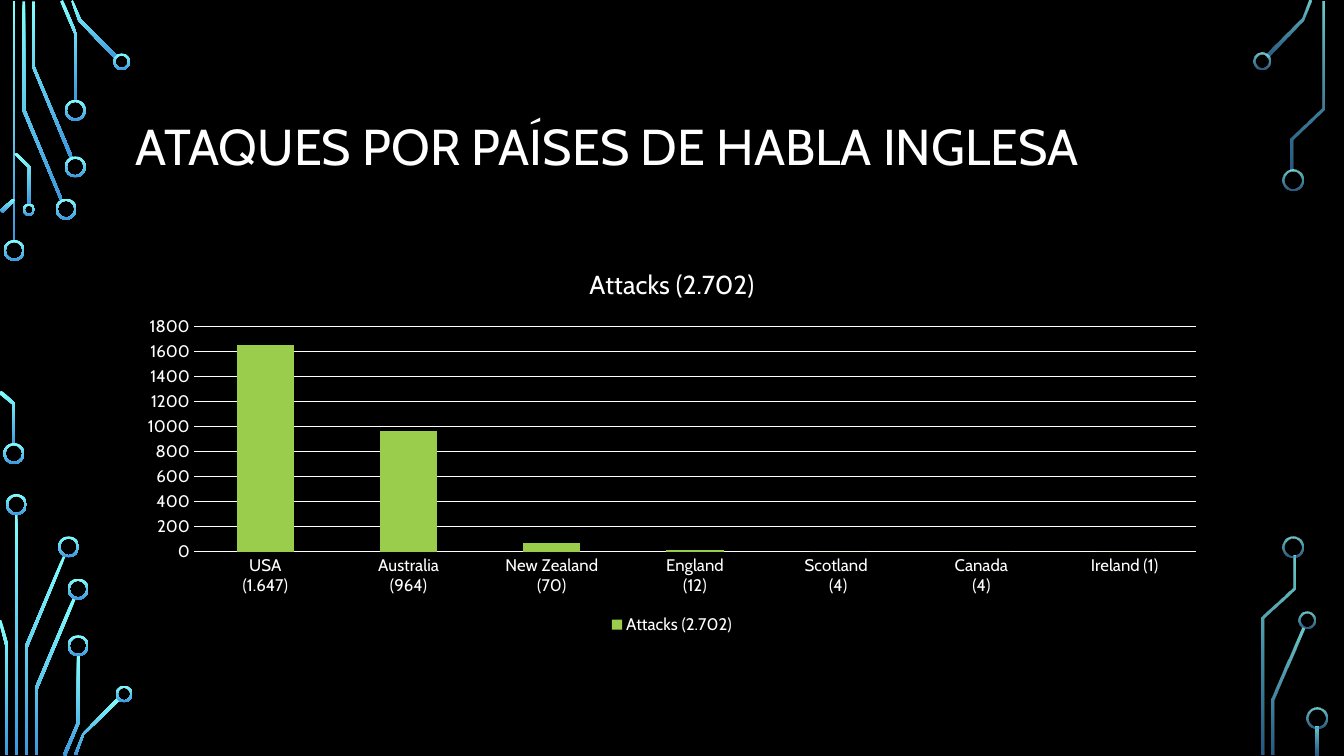
import math
from typing import NamedTuple

from lxml import etree
from pptx import Presentation
from pptx.chart.data import CategoryChartData
from pptx.dml.color import RGBColor
from pptx.enum.chart import XL_CHART_TYPE, XL_LEGEND_POSITION, XL_TICK_MARK
from pptx.enum.shapes import MSO_SHAPE
from pptx.enum.text import MSO_ANCHOR
from pptx.oxml.ns import qn
from pptx.util import Pt

BLACK = RGBColor(0x00, 0x00, 0x00)
WHITE = RGBColor(0xFF, 0xFF, 0xFF)
GREEN = RGBColor(0x9A, 0xCD, 0x4C)
CYAN = RGBColor(0x82, 0xFF, 0xFF)
BLUE = RGBColor(0x3D, 0x97, 0xDE)
FONT = "Cabin"

STACKED = XL_CHART_TYPE.COLUMN_STACKED
BOTTOM = XL_LEGEND_POSITION.BOTTOM
NO_TICK = XL_TICK_MARK.NONE
DONUT, RECT = MSO_SHAPE.DONUT, MSO_SHAPE.RECTANGLE
MIDDLE = MSO_ANCHOR.MIDDLE

TRACE_WIDTH = 2
RING_WIDTH = 1.5
OPAQUE = (100, 100)
FADED = (80, 60)
Point = tuple[float, float]


class Ring(NamedTuple):
    x: float
    y: float
    size: float = 15


class Stem(NamedTuple):
    x: float
    top: float
    height: float


class Circuit(NamedTuple):
    """Traces are centre lines; rings are given by their centres."""
    alphas: tuple[int, int]
    stems: list[Stem]
    traces: list[list[Point]]
    rings: list[Ring]


LEFT_CIRCUIT = Circuit(
    OPAQUE,
    [Stem(10, 0.7, 172), Stem(11.7, 367.2, 172)],
    [
        [(43.9, 142.9), (16.6, 78.5), (16.6, 0.7)],
        [(51.1, 112.7), (23.6, 47.9), (23.6, 0.7)],
        [(53.6, 72), (53.6, 23.8), (43.9, 0.4)],
        [(83.2, 41), (57.2, 14.8), (51.5, 0.4)],
        [(1.1, 151.2), (10.1, 142.6)],
        [(10.1, 317.5), (10.1, 288.7), (0, 280.1)],
        [(20.7, 146.2), (20.7, 119.2), (10.8, 109.4)],
        [(18.6, 538.6), (18.6, 461.5), (45.7, 397.1)],
        [(4.7, 538.6), (4.7, 461.5), (0, 443.2)],
        [(25.6, 539.3), (25.6, 491.4), (52.9, 427.3)],
        [(45.7, 539.6), (55.8, 516.2), (55.8, 468)],
        [(53.6, 538.9), (59.4, 524.9), (85, 499)],
    ],
    [
        Ring(10.1, 178.9), Ring(9.9, 324), Ring(47.2, 149.4), Ring(53.8, 119.2),
        Ring(53.8, 78.8), Ring(86.9, 44.1, 12), Ring(20.7, 149.8, 8.8),
        Ring(11.7, 360.4), Ring(49, 390.6), Ring(55.8, 420.8),
        Ring(55.8, 461.2), Ring(88.7, 495.7, 12),
    ],
)
RIGHT_CIRCUIT = Circuit(
    FADED,
    [Stem(941, 519.1, 20.2)],
    [
        [(905, 40), (930.6, 14), (936.4, 0.4)],
        [(909, 539.3), (909, 499.3), (931, 448.9)],
        [(923, 121.7), (923, 99.7), (945, 77.4), (945, 0.7)],
        [(901.8, 539.3), (901.8, 441.7), (924.1, 420.1), (924.1, 397.4)],
    ],
    [
        Ring(901.3, 43.6, 12), Ring(923.4, 128.7), Ring(933.3, 443.2, 12),
        Ring(923.9, 390.6), Ring(940.9, 512.8),
    ],
)
ATTACKS = {
    "USA\n(1.647)": 1650,
    "Australia\n(964)": 960,
    "New Zealand\n(70)": 70,
    "England\n(12)": 10,
    "Scotland \n(4)": 0,
    "Canada\n(4)": 0,
    "Ireland (1)": 0,
}
SERIES_NAME = "Attacks (2.702)"


def format_font(font, size: float) -> None:
    font.name, font.size, font.bold = FONT, Pt(size), False
    font.color.rgb = WHITE


def write(tf, text: str, *, size: float, spacing: float = 1.0) -> None:
    p = tf.paragraphs[0]
    p.line_spacing = spacing
    r = p.add_run()
    r.text = text
    format_font(r.font, size)


def paint(sp, alphas: tuple[int, int]) -> None:
    """Fill with the cyan-to-blue gradient, running downwards."""
    sp.shadow.inherit = False
    sp.line.fill.background()
    sp.fill.gradient()
    sp.fill.gradient_angle = 270
    for stop, color in zip(sp.fill.gradient_stops, (CYAN, BLUE)):
        stop.color.rgb = color
    for color, alpha in zip(sp.element.spPr.iter(qn("a:srgbClr")), alphas):
        if alpha < 100:
            etree.SubElement(color, qn("a:alpha")).set("val", str(alpha * 1000))


def outline(line: list[Point]) -> list[Point]:
    """Widen a centre line to a closed band with mitred corners."""
    normals = []
    for (x1, y1), (x2, y2) in zip(line, line[1:]):
        length = math.hypot(x2 - x1, y2 - y1)
        normals.append(((y1 - y2) / length, (x2 - x1) / length))
    one_side, other_side = [], []
    for (x, y), a, b in zip(line, normals[:1] + normals, normals + normals[-1:]):
        reach = TRACE_WIDTH / 2 / (1 + a[0] * b[0] + a[1] * b[1])
        dx, dy = (a[0] + b[0]) * reach, (a[1] + b[1]) * reach
        one_side.append((x + dx, y + dy))
        other_side.append((x - dx, y - dy))
    return one_side + other_side[::-1]


def add_circuit(s, circuit: Circuit) -> None:
    for stem in circuit.stems:
        sp = s.shapes.add_shape(RECT, Pt(stem.x - TRACE_WIDTH / 2), Pt(stem.top),
                                Pt(TRACE_WIDTH), Pt(stem.height))
        paint(sp, circuit.alphas)
    for trace in circuit.traces:
        first, *rest = outline(trace)
        builder = s.shapes.build_freeform(*first, scale=Pt(1))
        builder.add_line_segments(rest, close=True)
        paint(builder.convert_to_shape(), circuit.alphas)
    for ring in circuit.rings:
        sp = s.shapes.add_shape(DONUT, Pt(ring.x - ring.size / 2),
                                Pt(ring.y - ring.size / 2), Pt(ring.size), Pt(ring.size))
        sp.adjustments[0] = RING_WIDTH / ring.size
        paint(sp, circuit.alphas)


def add_title(s) -> None:
    tf = s.shapes.add_textbox(Pt(90), Pt(48.4), Pt(780), Pt(116.6)).text_frame
    tf.word_wrap = True
    tf.vertical_anchor = MIDDLE
    write(tf, "ATAQUES POR PAÍSES DE HABLA INGLESA", size=36, spacing=0.9)


def add_attacks_chart(s) -> None:
    data = CategoryChartData()
    data.categories = list(ATTACKS)
    data.add_series(SERIES_NAME, list(ATTACKS.values()))
    chart = s.shapes.add_chart(STACKED, Pt(90), Pt(177.4), Pt(780), Pt(278.8), data).chart
    format_font(chart.font, 10)
    write(chart.chart_title.text_frame, SERIES_NAME, size=18.6)
    chart.chart_title.include_in_layout = False

    chart.has_legend = True
    chart.legend.position = BOTTOM
    chart.legend.include_in_layout = False
    format_font(chart.legend.font, 12)

    plot = chart.plots[0]
    plot.gap_width, plot.overlap, plot.vary_by_categories = 150, 100, False
    fill = plot.series[0].format.fill
    fill.solid()
    fill.fore_color.rgb = GREEN

    counts, countries = chart.value_axis, chart.category_axis
    for axis in (counts, countries):
        axis.major_tick_mark = axis.minor_tick_mark = NO_TICK
        format_font(axis.tick_labels.font, 12)
    counts.minimum_scale, counts.maximum_scale, counts.major_unit = 0, 1800, 200
    counts.format.line.fill.background()
    for line in (counts.major_gridlines.format.line, countries.format.line):
        line.color.rgb = WHITE
        line.width = Pt(0.75)


def main() -> None:
    prs = Presentation()
    prs.slide_width, prs.slide_height = Pt(960), Pt(540)
    s = prs.slides.add_slide(prs.slide_layouts[6])
    s.background.fill.solid()
    s.background.fill.fore_color.rgb = BLACK
    for circuit in (LEFT_CIRCUIT, RIGHT_CIRCUIT):
        add_circuit(s, circuit)
    add_title(s)
    add_attacks_chart(s)
    prs.save("out.pptx")


if __name__ == "__main__":
    main()
